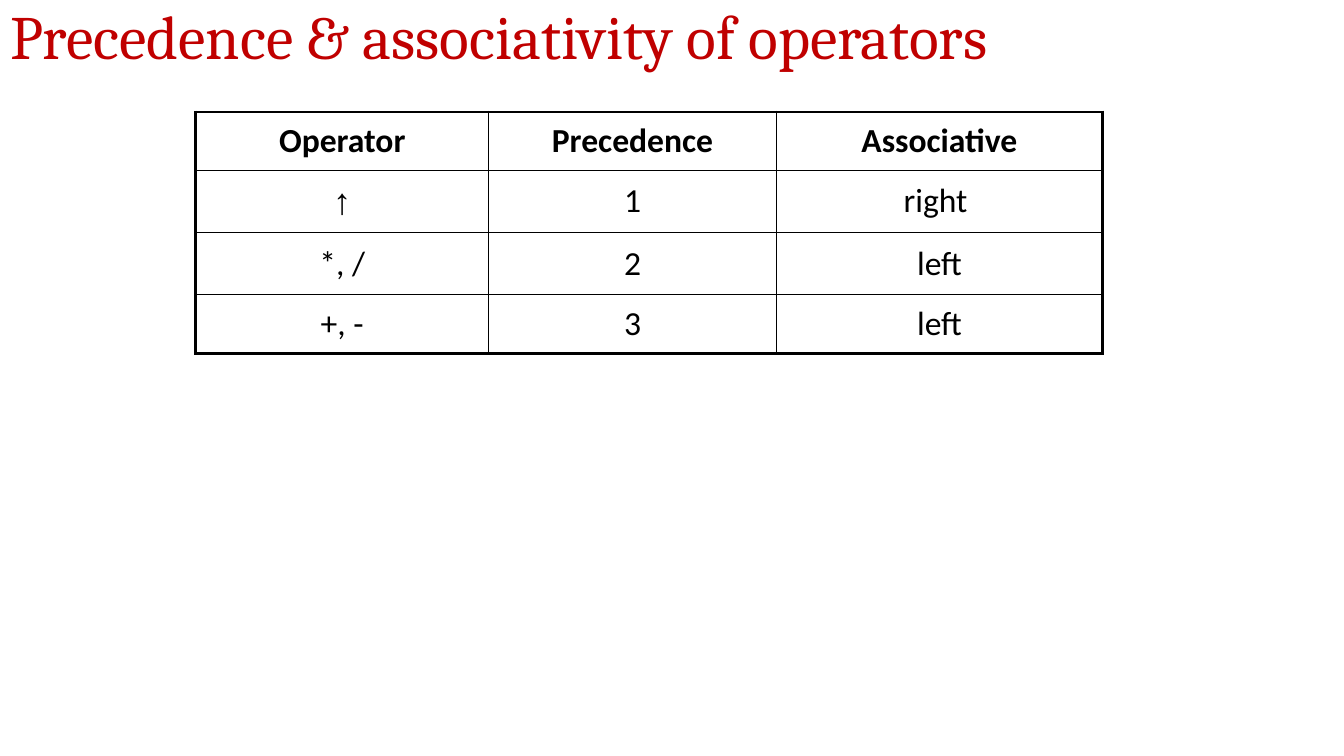
import dataclasses

import pptx
import pptx.dml.color
import pptx.enum.text
import pptx.oxml
import pptx.oxml.ns
import pptx.util
from pptx.util import Cm, Pt


@dataclasses.dataclass(frozen=True)
class Theme:
    title_color: str = "C00000"
    ink: str = "000000"
    title_font: str = "Cambria"
    body_font: str = "Calibri"
    symbol_font: str = "Arial"
    title_size: int = 44
    body_size: int = 24
    symbol_size: int = 26
    inner_line: float = 1
    outer_line: float = 2.25


THEME = Theme()
ARROW = "↑"
ROWS = [
    ("Operator", "Precedence", "Associative"),
    (ARROW, "1", "right "),
    ("*, /", "2", "left"),
    ("+, -", "3", "left"),
]
COLUMN_WIDTHS = [Cm(7.39), Cm(7.24), Cm(8.23)]
ROW_HEIGHTS = [Cm(1.47), Cm(1.57), Cm(1.57), Cm(1.47)]


def set_font(p, name, size, color, bold=False):
    p.font.name = name
    p.font.size = Pt(size)
    p.font.bold = bold
    p.font.color.rgb = pptx.dml.color.RGBColor.from_string(color)


def add_title(slide, text, width):
    sp = slide.shapes.title
    sp.left, sp.top, sp.width, sp.height = 0, 0, width, Cm(1.98)
    tf = sp.text_frame
    tf.text = text
    tf.auto_size = pptx.enum.text.MSO_AUTO_SIZE.NONE
    tf.vertical_anchor = pptx.enum.text.MSO_ANCHOR.MIDDLE
    p = tf.paragraphs[0]
    p.alignment = pptx.enum.text.PP_ALIGN.LEFT
    p.line_spacing = 0.9
    set_font(p, THEME.title_font, THEME.title_size, THEME.title_color)


def set_borders(cell, outer_sides):
    """Draw all four borders, thicker on the sides at the table's edge."""
    props = cell._tc.get_or_add_tcPr()
    for side in "LRTB":
        width = THEME.outer_line if side in outer_sides else THEME.inner_line
        props.append(pptx.oxml.parse_xml(
            f'<a:ln{side} {pptx.oxml.ns.nsdecls("a")} w="{Pt(width)}">'
            f'<a:solidFill><a:srgbClr val="{THEME.ink}"/></a:solidFill>'
            f'<a:prstDash val="solid"/></a:ln{side}>'))


def fill_cell(cell, text, bold):
    cell.fill.background()
    cell.vertical_anchor = pptx.enum.text.MSO_ANCHOR.MIDDLE
    cell.text = text
    p = cell.text_frame.paragraphs[0]
    p.alignment = pptx.enum.text.PP_ALIGN.CENTER
    if text == ARROW:
        set_font(p, THEME.symbol_font, THEME.symbol_size, THEME.ink, bold)
    else:
        set_font(p, THEME.body_font, THEME.body_size, THEME.ink, bold)


def add_operator_table(slide, left, top):
    table = slide.shapes.add_table(
        len(ROWS), len(COLUMN_WIDTHS), left, top,
        sum(COLUMN_WIDTHS), sum(ROW_HEIGHTS)).table
    table.first_row = table.horz_banding = False
    for column, width in zip(table.columns, COLUMN_WIDTHS):
        column.width = width
    for row, height in zip(table.rows, ROW_HEIGHTS):
        row.height = height
    last_row, last_column = len(ROWS) - 1, len(COLUMN_WIDTHS) - 1
    for i, texts in enumerate(ROWS):
        for j, text in enumerate(texts):
            edges = {"L": j == 0, "R": j == last_column,
                     "T": i == 0, "B": i == last_row}
            cell = table.cell(i, j)
            set_borders(cell, [side for side, outer in edges.items() if outer])
            fill_cell(cell, text, bold=i == 0)


def main():
    prs = pptx.Presentation()
    prs.slide_width, prs.slide_height = Cm(33.87), Cm(19.05)
    slide = prs.slides.add_slide(prs.slide_layouts.get_by_name("Title Only"))
    add_title(slide, "Precedence & associativity of operators", prs.slide_width)
    add_operator_table(slide, Cm(4.93), Cm(2.82))
    prs.save("out.pptx")


if __name__ == "__main__":
    main()
